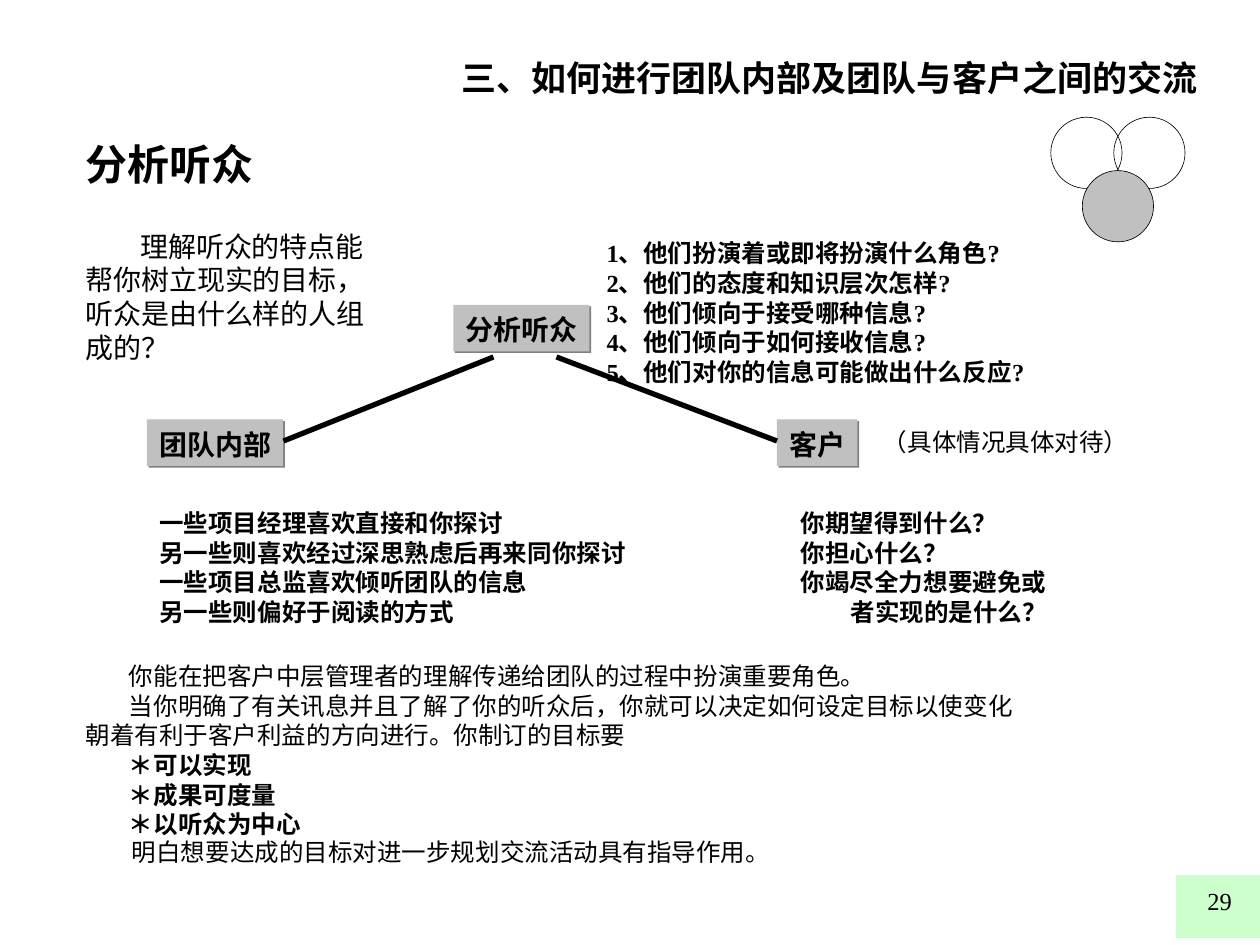
from pptx import Presentation
from pptx.dml.color import RGBColor
from pptx.enum.shapes import MSO_CONNECTOR, MSO_SHAPE as SHAPE
from pptx.enum.text import PP_ALIGN as AL
from pptx.oxml import parse_xml
from pptx.oxml.ns import nsdecls, qn
from pptx.util import Pt

CJK, LATIN = "Noto Sans CJK SC", "Times New Roman"
BLACK, GREY, SHADE, GREEN = "000000", "C0C0C0", "808080", "CCFFCC"


def rgb(value):
    """Turn a hex string into a colour."""
    return RGBColor.from_string(value)


def add_effects(sp, inner=""):
    """Replace the theme effects of a shape with the given ones."""
    sp._element.spPr.append(
        parse_xml(f'<a:effectLst {nsdecls("a")}>{inner}</a:effectLst>'))


def add_para(tf, text, size=14, bold=False, indent=0, before=0,
             align=AL.LEFT, font=LATIN):
    """Write one paragraph into a frame, filling the empty first one."""
    p = tf.paragraphs[0]
    if p.runs:
        p = tf.add_paragraph()
    p.alignment = align
    p.line_spacing = Pt(round(size * 1.21, 2))
    p.space_before = Pt(before)
    if indent:
        p._p.get_or_add_pPr().set("indent", str(Pt(indent)))
    r = p.add_run()
    r.text = text
    r.font.size, r.font.bold, r.font.name = Pt(size), bold, font
    r.font.color.rgb = rgb(BLACK)
    ea = r._r.get_or_add_rPr().makeelement(qn("a:ea"), {"typeface": CJK})
    r.font._rPr.find(qn("a:latin")).addnext(ea)


def set_frame(sp, wrap):
    """Set the insets and wrapping of a shape's text frame."""
    tf = sp.text_frame
    tf.word_wrap = wrap
    tf.margin_left = tf.margin_right = Pt(7.2)
    tf.margin_top, tf.margin_bottom = Pt(4.4), Pt(2.8)
    return tf


def add_text(s, x, y, w, h, lines, wrap=True, **fmt):
    """Add a text box; a line is text or a pair of text and own format."""
    tf = set_frame(s.shapes.add_textbox(Pt(x), Pt(y), Pt(w), Pt(h)), wrap)
    for line in lines:
        text, own = (line, {}) if isinstance(line, str) else line
        add_para(tf, text, **{**fmt, **own})


def add_shape(s, kind, x, y, w, h, fill=None, line=None):
    """Add a preset shape with optional fill and outline."""
    sp = s.shapes.add_shape(kind, Pt(x), Pt(y), Pt(w), Pt(h))
    sp.shadow.inherit = False
    if fill:
        sp.fill.solid()
        sp.fill.fore_color.rgb = rgb(fill)
    else:
        sp.fill.background()
    if line:
        sp.line.color.rgb = rgb(BLACK)
        sp.line.width = Pt(line)
    else:
        sp.line.fill.background()
    return sp


def add_label(s, x, y, w, text):
    """Add a grey label box with a small hard shadow."""
    sp = add_shape(s, SHAPE.RECTANGLE, x, y, w, 26.6, GREY)
    sp._element.spPr.remove(sp._element.spPr.find(qn("a:effectLst")))
    add_effects(sp, f'<a:outerShdw dist="{Pt(1.4)}" dir="2700000">'
                    f'<a:srgbClr val="{SHADE}"/></a:outerShdw>')
    add_para(set_frame(sp, False), text, size=16, bold=True)


def add_branch(s, x1, y1, x2, y2):
    """Add a thick line of the tree."""
    c = s.shapes.add_connector(MSO_CONNECTOR.STRAIGHT,
                               Pt(x1), Pt(y1), Pt(x2), Pt(y2))
    c.line.color.rgb = rgb(BLACK)
    c.line.width = Pt(3)
    add_effects(c)


def add_frame(s):
    """Add the chapter title and the page number."""
    add_shape(s, SHAPE.RECTANGLE, 672, 500, 48, 36, GREEN)
    add_text(s, 256.5, 27.9, 448, 31.7,
             ["三、如何进行团队内部及团队与客户之间的交流"],
             size=20, bold=True, font=CJK)
    add_text(s, 561, 502, 150, 36, ["29"], align=AL.RIGHT)


def add_body(s, x, y, w, h):
    """Add the heading, the introduction and the goals in one column."""
    bullet = dict(bold=True, indent=24.8)
    add_text(s, x, y, w, h, [
        ("分析听众", dict(size=24, bold=True)),
        ("理解听众的特点能", dict(size=16, indent=31.3, before=23)),
        *[(t, dict(size=16)) for t in
          ("帮你树立现实的目标，", "听众是由什么样的人组", "成的？")],
        ("你能在把客户中层管理者的理解传递给团队的过程中扮演重要角色。",
         dict(indent=24.8, before=169.5)),
        ("当你明确了有关讯息并且了解了你的听众后，你就可以决定如何设定目标以使变化",
         dict(indent=24.8)),
        "朝着有利于客户利益的方向进行。你制订的目标要",
        *[(t, bullet) for t in ("＊可以实现", "＊成果可度量", "＊以听众为中心")],
    ])
    add_text(s, x + 26.5, 473.8, 383, 24.5,
             ["明白想要达成的目标对进一步规划交流活动具有指导作用。"], False)


def add_circles(s, x, y, d):
    """Add three overlapping circles, the lowest one grey."""
    for dx, dy, fill in ((36, 0, None), (0, 0, None), (18, 30.5, GREY)):
        add_shape(s, SHAPE.OVAL, x + dx, y + dy, d, d, fill, 0.37)


def add_tree(s, x, y):
    """Add the audience tree with its two branches and their questions."""
    add_label(s, x, y + 65.5, 77.8, "团队内部")
    add_label(s, x + 360, y + 65.5, 46, "客户")
    add_label(s, x + 175, y, 77.8, "分析听众")
    add_text(s, x + 255.6, y - 42.5, 332, 108, [
        "1、他们扮演着或即将扮演什么角色?",
        "2、他们的态度和知识层次怎样?",
        "3、他们倾向于接受哪种信息?",
        "4、他们倾向于如何接收信息?",
        "5、他们对你的信息可能做出什么反应?",
    ], False, bold=True)
    add_text(s, x, y + 111.6, 353, 75, [
        "一些项目经理喜欢直接和你探讨",
        "另一些则喜欢经过深思熟虑后再来同你探讨",
        "一些项目总监喜欢倾听团队的信息",
        "另一些则偏好于阅读的方式",
    ], False, bold=True)
    add_text(s, x + 366.5, y + 111.6, 228, 75, [
        "你期望得到什么？",
        "你担心什么？",
        "你竭尽全力想要避免或",
        ("者实现的是什么？", dict(indent=28.4)),
    ], False, bold=True)
    add_branch(s, x + 78, y + 77.8, x + 198, y + 29.8)
    add_branch(s, x + 360, y + 77.8, x + 234, y + 29.8)
    add_text(s, x + 413.5, y + 65.5, 155, 24.5, ["（具体情况具体对待）"], False)


def main():
    """Build the slide and save it."""
    prs = Presentation()
    prs.slide_width, prs.slide_height = Pt(720), Pt(540)
    s = prs.slides.add_slide(prs.slide_layouts[6])
    add_frame(s)
    add_body(s, 41.8, 74.3, 552, 408)
    add_circles(s, 600.5, 67, 40.7)
    add_tree(s, 84, 174.2)
    prs.save("out.pptx")


if __name__ == "__main__":
    main()
